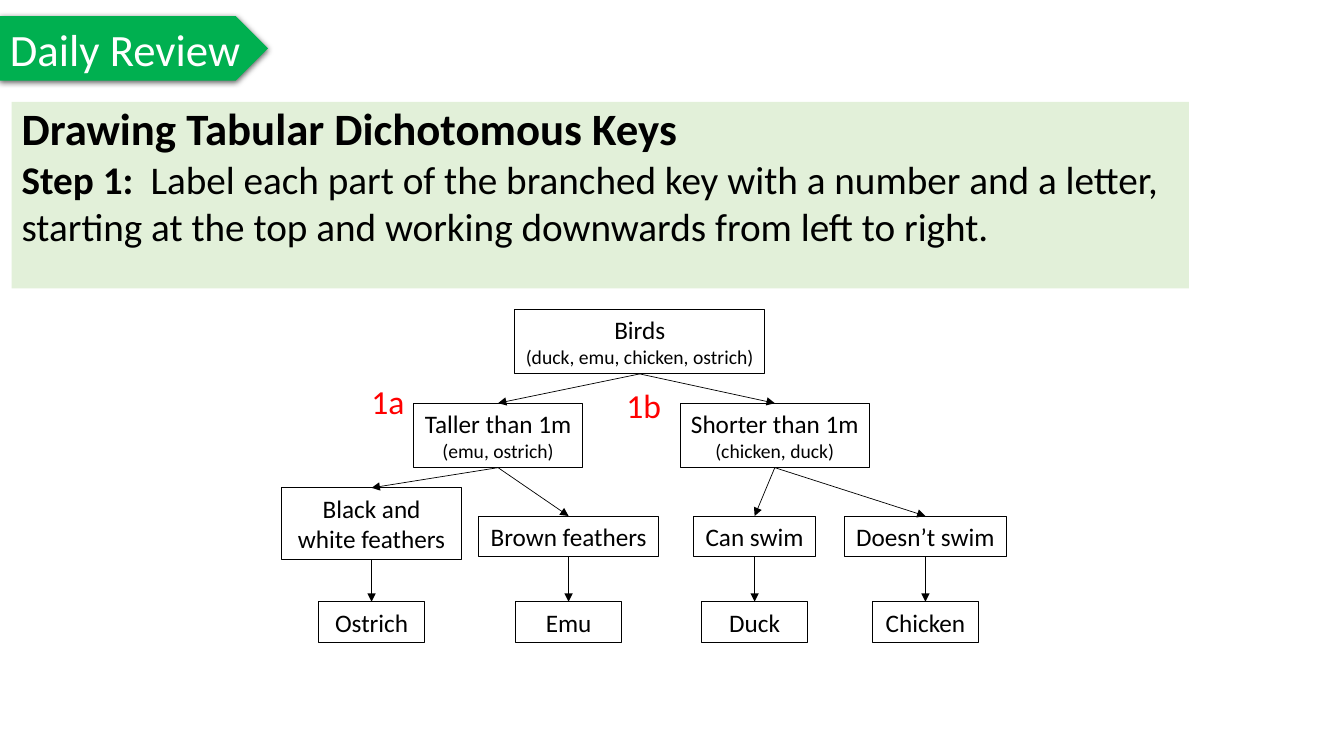
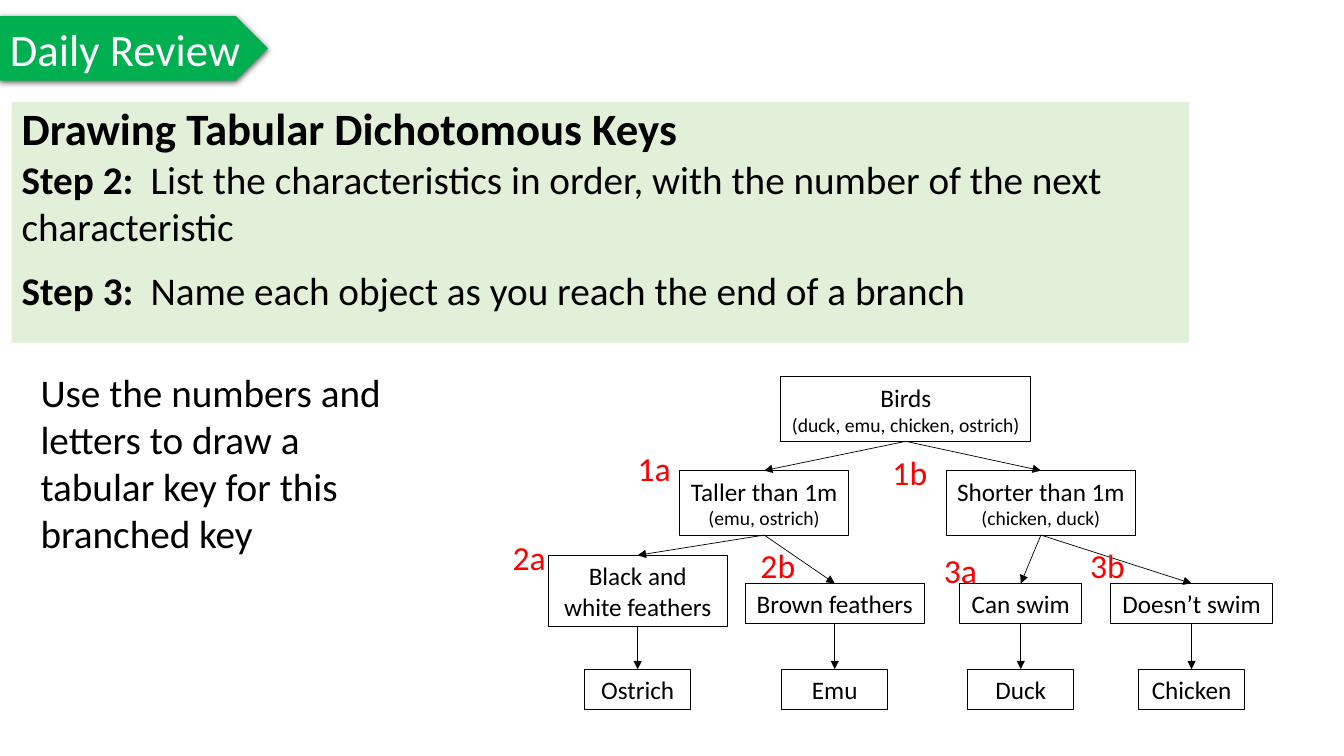
from lxml import etree
from pptx import Presentation
from pptx.dml.color import RGBColor
from pptx.enum.shapes import MSO_CONNECTOR, MSO_SHAPE
from pptx.enum.text import MSO_ANCHOR, PP_ALIGN
from pptx.oxml.ns import qn
from pptx.util import Inches, Pt

RECTANGLE, PENTAGON = MSO_SHAPE.RECTANGLE, MSO_SHAPE.PENTAGON
STRAIGHT = MSO_CONNECTOR.STRAIGHT
LEFT, CENTER = PP_ALIGN.LEFT, PP_ALIGN.CENTER
TOP, MIDDLE = MSO_ANCHOR.TOP, MSO_ANCHOR.MIDDLE
TOP_SIDE, BOTTOM_SIDE = 0, 2

COLORS = {"banner": "00B050", "panel": "E2F0D9", "ink": "000000",
          "white": "FFFFFF", "label": "FF0000"}
FONT = "Calibri"

deck = Presentation()
deck.slide_width, deck.slide_height = Inches(13.333), Inches(7.5)
# Grid of 100 columns by 100 rows
COL, ROW = deck.slide_width / 100, deck.slide_height / 100


def add_child(parent, tag, **attributes):
    child = etree.SubElement(parent, qn(tag))
    for key, value in attributes.items():
        child.set(key, str(value))
    return child


def add_text(shapes, area, paragraphs, preset=None, fill=None, outline=None,
             color="ink", align=LEFT, anchor=TOP, wrap=True):
    """Add a box at area (columns, rows); each paragraph lists (text, size, bold)."""
    left, top, width, height = area
    place = [round(n) for n in (left * COL, top * ROW, width * COL, height * ROW)]
    if preset is None:
        box = shapes.add_textbox(*place)
    else:
        box = shapes.add_shape(preset, *place)
        box.shadow.inherit = False
        if fill:
            box.fill.solid()
            box.fill.fore_color.rgb = RGBColor.from_string(COLORS[fill])
        else:
            box.fill.background()
        if outline:
            box.line.color.rgb = RGBColor.from_string(COLORS[outline])
            box.line.width = Pt(0.75)
        else:
            box.line.fill.background()
    frame = box.text_frame
    frame.word_wrap, frame.vertical_anchor = wrap, anchor
    for i, runs in enumerate(paragraphs):
        paragraph = frame.add_paragraph() if i else frame.paragraphs[0]
        paragraph.alignment = align
        for text, size, bold in runs:
            run = paragraph.add_run()
            run.text = text
            run.font.name, run.font.size, run.font.bold = FONT, Pt(size), bold
            run.font.color.rgb = RGBColor.from_string(COLORS[color])
    return box


# Branched key: centre column and top row from the root, width, height, lines, parent
TWO_LINES, WRAPPED, ONE_LINE = 8.53, 9.47, 5.33
KEY = {
    "birds": (0, 0, 18.6, TWO_LINES, ["Birds", "(duck, emu, chicken, ostrich)"], None),
    "tall": (-10.54, 12.4, 12.53, TWO_LINES, ["Taller than 1m", "(emu, ostrich)"], "birds"),
    "short": (10.05, 12.4, 14.1, TWO_LINES, ["Shorter than 1m", "(chicken, duck)"], "birds"),
    "black": (-19.95, 23.6, 13.35, WRAPPED, ["Black and white feathers"], "tall"),
    "brown": (-5.29, 27.33, 13.35, ONE_LINE, ["Brown feathers"], "tall"),
    "swims": (8.55, 27.33, 9.1, ONE_LINE, ["Can swim"], "short"),
    "dry": (21.26, 27.33, 12.1, ONE_LINE, ["Doesn’t swim"], "short"),
}
for bird, feature in [("Ostrich", "black"), ("Emu", "brown"),
                      ("Duck", "swims"), ("Chicken", "dry")]:
    KEY[bird] = (KEY[feature][0], 38.67, 7.9, ONE_LINE, [bird], feature)

# Branch labels: left column and top row from the root
LABELS = {"1a": (-20.7, 8.8), "1b": (-1.73, 9.33),
          "2a": (-30, 20.53), "2b": (-11.55, 21.6),
          "3a": (2.1, 22.27), "3b": (12.98, 21.6)}
LABEL_WIDTH, LABEL_HEIGHT = 4.8, 6.67

SLIDES = [
    {"steps": [("Step 1:", "Label each part of the branched key with a number and a "
                "letter, starting at the top and working downwards from left to right.")],
     "panel_rows": 24.67, "prompt": None, "root": (47.6, 40.93), "labels": ["1a", "1b"]},
    {"steps": [("Step 2:", "List the characteristics in order, with the number of the "
                "next characteristic"),
               ("Step 3:", "Name each object as you reach the end of a branch")],
     "panel_rows": 31.87,
     "prompt": "Use the numbers and letters to draw a tabular key for this branched key",
     "root": (67.4, 49.85), "labels": list(LABELS)},
]

for content in SLIDES:
    slide = deck.slides.add_slide(deck.slide_layouts[6])

    # Banner with a soft shadow
    banner = add_text(slide.shapes, (0, 2.13, 19.95, 8.53), [[("Daily Review", 32, False)]],
                      preset=PENTAGON, fill="banner", color="white", anchor=MIDDLE, wrap=False)
    effects = banner.element.spPr.find(qn("a:effectLst"))
    shadow = add_child(effects, "a:outerShdw", blurRad=Pt(4.5), dist=Pt(1.5),
                       dir=5400000, algn="ctr", rotWithShape=0)
    add_child(add_child(shadow, "a:srgbClr", val=COLORS["ink"]), "a:alpha", val=63000)

    # Instruction panel
    instructions = [[("Drawing Tabular Dichotomous Keys", 32, True)]]
    instructions += [[(step, 28, True), ("\t" + text, 28, False)]
                     for step, text in content["steps"]]
    panel = add_text(slide.shapes, (0.87, 13.47, 87.6, content["panel_rows"]), instructions,
                     preset=RECTANGLE, fill="panel")
    heading, *steps = panel.text_frame.paragraphs
    heading.line_spacing = 0.9
    for step in steps:
        step.space_after = Pt(12)
        tabs = add_child(step._p.get_or_add_pPr(), "a:tabLst")
        add_child(tabs, "a:tab", pos=Inches(1.28), algn="l")

    if content["prompt"]:
        add_text(slide.shapes, (2.28, 48, 27.68, 26.53), [[(content["prompt"], 28, False)]])

    # Branched key, each box joined to its parent
    tree = slide.shapes.add_group_shape().shapes
    root_col, root_row = content["root"]
    nodes = {}
    for name, (centre, top, width, height, lines, parent) in KEY.items():
        area = (root_col + centre - width / 2, root_row + top, width, height)
        node = nodes[name] = add_text(
            tree, area, [[(line, size, False)] for line, size in zip(lines, (18, 14))],
            preset=RECTANGLE, outline="ink", align=CENTER, anchor=MIDDLE,
            wrap=len(lines) == 1)
        if parent:
            above = nodes[parent]
            arrow = tree.add_connector(
                STRAIGHT, above.left + above.width // 2, above.top + above.height,
                node.left + node.width // 2, node.top)
            arrow.begin_connect(above, BOTTOM_SIDE)
            arrow.end_connect(node, TOP_SIDE)
            arrow.line.color.rgb = RGBColor.from_string(COLORS["ink"])
            arrow.line.width = Pt(0.5)
            add_child(arrow.line._get_or_add_ln(), "a:tailEnd", type="triangle")
            add_child(arrow.element.spPr, "a:effectLst")

    for label in content["labels"]:
        col, row = LABELS[label]
        add_text(tree, (root_col + col, root_row + row, LABEL_WIDTH, LABEL_HEIGHT),
                 [[(label, 24, False)]], color="label")

deck.save("out.pptx")
